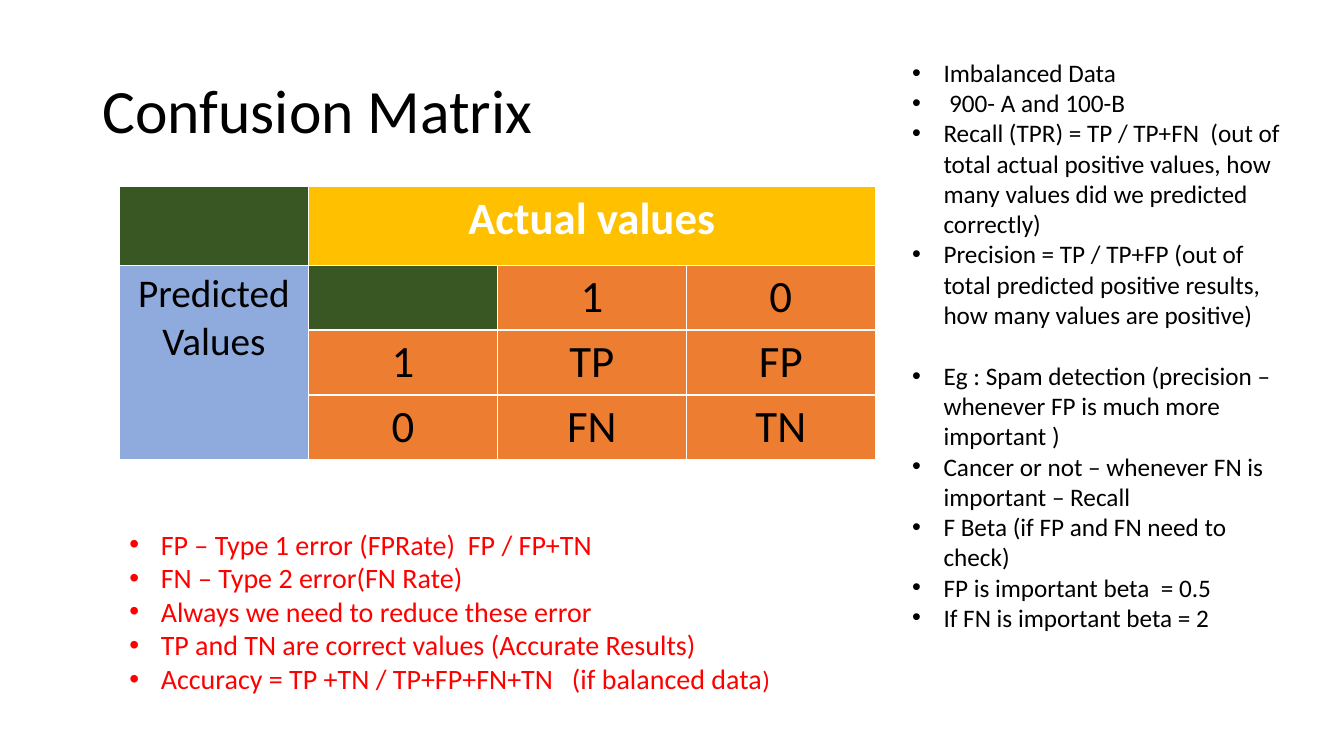
"""Build the confusion matrix slide with its table and two bullet lists."""
from lxml.etree import SubElement
from pptx import Presentation
from pptx.dml.color import RGBColor
from pptx.enum.text import MSO_ANCHOR as Anchor, MSO_AUTO_SIZE as AutoSize, PP_ALIGN as Align
from pptx.oxml.ns import qn
from pptx.util import Pt


def color(value):
    return RGBColor.from_string(value)


def write(paragraph, text, size=18, fill="000000", bold=False, align=Align.LEFT):
    paragraph.alignment = align
    run = paragraph.add_run()
    run.text = text
    run.font.name = "Calibri"
    run.font.size = Pt(size)
    run.font.bold = bold
    run.font.color.rgb = color(fill)


presentation = Presentation()
presentation.slide_width, presentation.slide_height = Pt(960), Pt(540)
slide = presentation.slides.add_slide(presentation.slide_layouts[5])

title = slide.shapes.title
title.left, title.top, title.width, title.height = Pt(66), Pt(28.75), Pt(828), Pt(104.4)
title.text_frame.vertical_anchor = Anchor.MIDDLE
title.text_frame.paragraphs[0].line_spacing = 0.9
write(title.text_frame.paragraphs[0], "Confusion Matrix", size=44)

GREEN, YELLOW, BLUE, ORANGE = "385723", "FFC000", "8FAADC", "ED7D31"
matrix = [
    ["", "Actual values", "", ""],
    ["Predicted Values", "", "1", "0"],
    ["", "1", "TP", "FP"],
    ["", "0", "FN", "TN"],
]
fills = [
    [GREEN, YELLOW, YELLOW, YELLOW],
    [BLUE, GREEN, ORANGE, ORANGE],
    [BLUE, ORANGE, ORANGE, ORANGE],
    [BLUE, ORANGE, ORANGE, ORANGE],
]
table = slide.shapes.add_table(4, 4, Pt(85.3), Pt(133.4), Pt(540), Pt(195.2)).table
for column in table.columns:
    column.width = Pt(135)
for row, height in zip(table.rows, [56, 46.4, 46.4, 46.4]):
    row.height = Pt(height)
table.cell(0, 1).merge(table.cell(0, 3))
table.cell(1, 0).merge(table.cell(3, 0))
for row_index, texts in enumerate(matrix):
    for column_index, text in enumerate(texts):
        cell = table.cell(row_index, column_index)
        cell.fill.solid()
        cell.fill.fore_color.rgb = color(fills[row_index][column_index])
        if text:
            header = row_index == 0
            write(cell.text_frame.paragraphs[0], text, size=32 if column_index else 28,
                  fill="FFFFFF" if header else "000000", bold=header, align=Align.CENTER)

error_notes = [
    "FP – Type 1 error (FPRate)  FP / FP+TN",
    "FN – Type 2 error(FN Rate)",
    "Always we need to reduce these error",
    "TP and TN are correct values (Accurate Results)",
    "Accuracy = TP +TN / TP+FP+FN+TN   (if balanced data",
]
metric_notes = [
    "Imbalanced Data",
    " 900- A and 100-B",
    "Recall (TPR) = TP / TP+FN  (out of total actual positive values, "
    "how many values did we predicted correctly)",
    "Precision = TP / TP+FP (out of total predicted positive results, "
    "how many values are positive)",
    "Eg : Spam detection (precision – whenever FP is much more important )",
    "Cancer or not – whenever FN is important – Recall",
    "F Beta (if FP and FN need to check)",
    "FP is important beta  = 0.5",
    "If FN is important beta = 2",
]
lists = [
    (error_notes, 85.3, 373, 540, 128, 20, "FF0000"),
    (metric_notes, 644.4, 37.4, 285, 465, 18, "000000"),
]
for notes, left, top, width, height, size, fill in lists:
    frame = slide.shapes.add_textbox(Pt(left), Pt(top), Pt(width), Pt(height)).text_frame
    frame.word_wrap = True
    frame.auto_size = AutoSize.SHAPE_TO_FIT_TEXT
    for index, note in enumerate(notes):
        paragraph = frame.paragraphs[0] if index == 0 else frame.add_paragraph()
        write(paragraph, note, size=size, fill=fill)
        if note.startswith("Eg"):
            paragraph.space_before = Pt(22)
        if note.startswith("Accuracy"):
            write(paragraph, ")", size=18, fill=fill)
        properties = paragraph._p.get_or_add_pPr()
        properties.set("marL", str(Pt(22.5)))
        properties.set("indent", str(-Pt(22.5)))
        SubElement(properties, qn("a:buFont"), typeface="Arial")
        SubElement(properties, qn("a:buChar"), char="•")

presentation.save("out.pptx")
